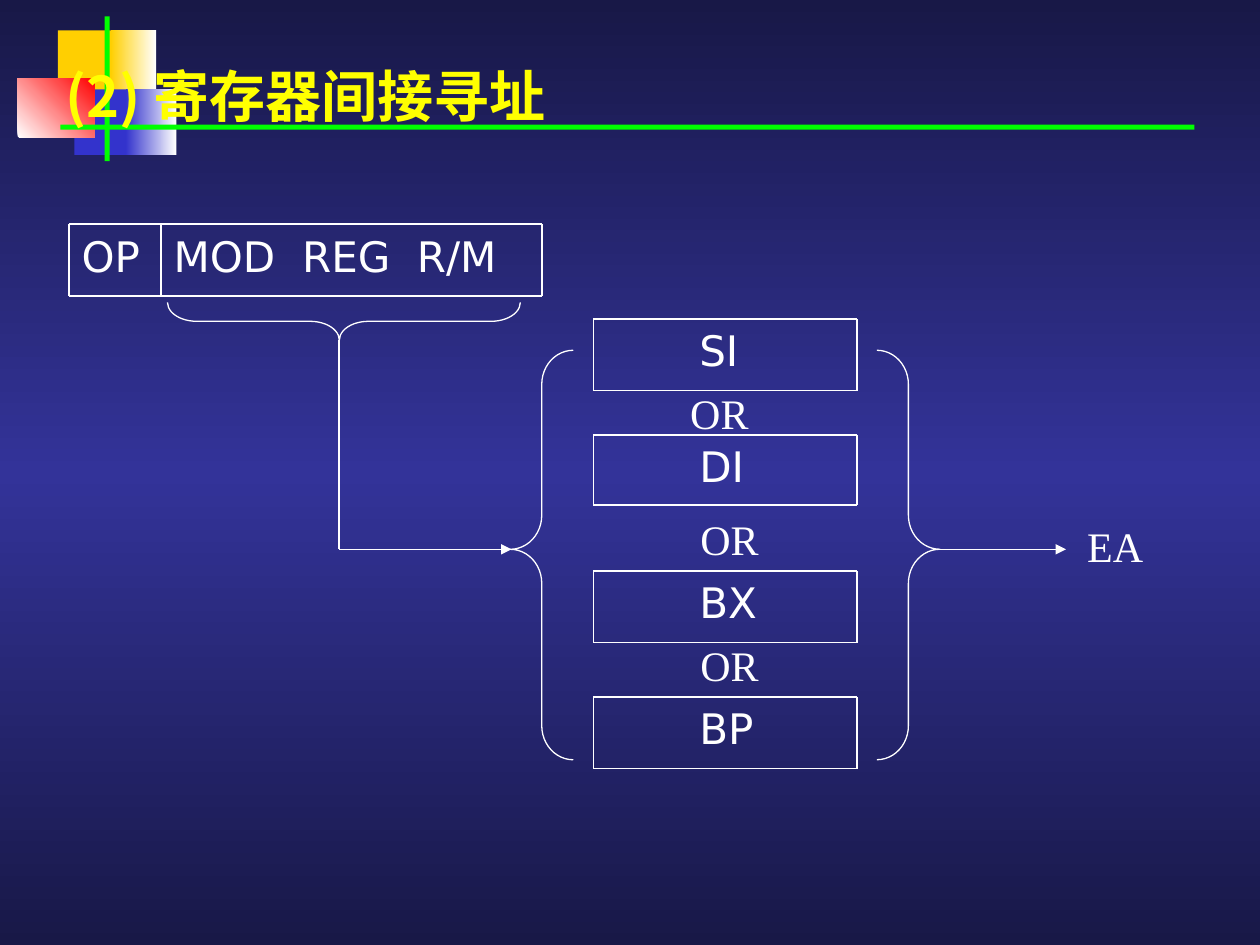
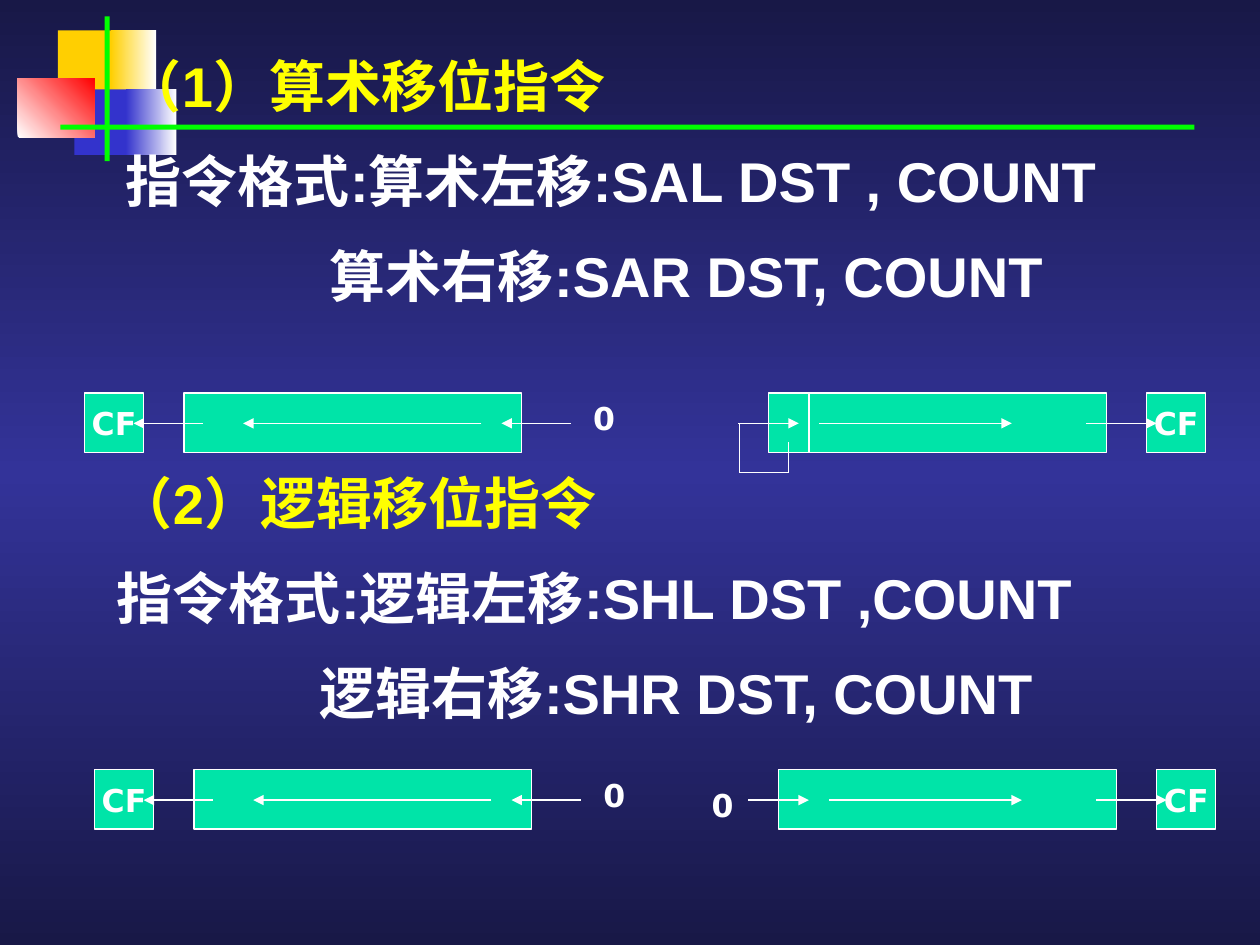
from copy import deepcopy

from lxml.etree import SubElement
from pptx import Presentation
from pptx.dml.color import RGBColor
from pptx.enum.shapes import MSO_CONNECTOR, MSO_SHAPE as SHAPE
from pptx.enum.text import MSO_ANCHOR as ANCHOR, PP_ALIGN as ALIGN
from pptx.oxml.ns import qn
from pptx.util import Inches, Pt

rgb = RGBColor.from_string
WHITE, YELLOW, GREEN, MINT = "FFFFFF", "FFFF00", "00FF00", "00E4A8"
GOLD, BLUE, RED = "FFCF01", "3333CC", "FF0000"
NAVY, INDIGO = "181847", "333399"

TITLE = {"name": "Noto Sans CJK JP", "size": Pt(32), "bold": True}
BODY = {"name": "Arial", "size": Pt(32), "bold": True}
REGISTER = {"name": "DejaVu Sans", "size": Pt(24)}
SERIF = {"name": "Times New Roman", "size": Pt(24)}
BIT = {"name": "DejaVu Sans", "size": Pt(18), "bold": True}


def add_box(s, at, text="", font=None, color=WHITE, kind=None, fill=None,
            line=None, **frame):
    """Add a preset shape, or a text box if kind is None; frame sets the text frame."""
    at = [Inches(v) for v in at]
    if kind is None:
        sp = s.shapes.add_textbox(*at)
    else:
        sp = s.shapes.add_shape(kind, *at)
        sp.shadow.inherit = False
        if fill:
            sp.fill.solid()
            sp.fill.fore_color.rgb = rgb(fill)
        else:
            sp.fill.background()
        if line:
            sp.line.color.rgb = rgb(WHITE)
            sp.line.width = Pt(line)
        else:
            sp.line.fill.background()
    tf = sp.text_frame
    for name, value in {"word_wrap": True, "vertical_anchor": ANCHOR.TOP, **frame}.items():
        setattr(tf, name, value)
    if text:
        p = tf.paragraphs[0]
        p.alignment = ALIGN.LEFT
        for i, part in enumerate(text.split("\n")):
            if i:
                p = tf.add_paragraph()
                p.space_before = Pt(16)
            r = p.add_run()
            r.text = part
            for name, value in font.items():
                setattr(r.font, name, value)
            r.font.color.rgb = rgb(color)
            SubElement(r._r.get_or_add_rPr(), qn("a:ea"), typeface=font["name"])
    return sp


def add_line(s, x1, y1, x2, y2, arrow=True, width=0.75):
    c = s.shapes.add_connector(MSO_CONNECTOR.STRAIGHT, *[Inches(v) for v in (x1, y1, x2, y2)])
    c.line.color.rgb = rgb(WHITE)
    c.line.width = Pt(width)
    if arrow:
        SubElement(c.line._get_or_add_ln(), qn("a:tailEnd"), type="triangle")
    SubElement(c._element.spPr, qn("a:effectLst"))


prs = Presentation()
prs.slide_width, prs.slide_height = Inches(10), Inches(7.5)

# Shared background
master = prs.slide_master
bg = master.background.fill
bg.gradient()
bg.gradient_angle = 270
stop_list = next(master.element.iter(qn("a:gsLst")))
stop_list.append(deepcopy(stop_list[-1]))
for stop, position, color in zip(bg.gradient_stops, (0, 0.5, 1), (NAVY, INDIGO, NAVY)):
    stop.position = position
    stop.color.rgb = rgb(color)

# Shared corner ornament: place, colours, gradient angle
ornament = [
    ((0.46, 0.24, 0.48, 0.52), (GOLD,), 0),
    ((0.88, 0.24, 0.36, 0.52), (GOLD, WHITE), 0),
    ((0.59, 0.71, 0.46, 0.52), (BLUE,), 0),
    ((1, 0.71, 0.4, 0.52), (BLUE, WHITE), 0),
    ((0.14, 0.62, 0.61, 0.47), (WHITE, RED), 45),
    ((0.83, 0.13, 0.04, 1.15), (GREEN,), 0),
    ((0.48, 0.99, 9, 0.04), (GREEN,), 0),
]
slides = [prs.slides.add_slide(prs.slide_layouts[6]) for _ in range(2)]
for s in slides:
    for at, colors, angle in ornament:
        sp = add_box(s, at, kind=SHAPE.RECTANGLE, fill=colors[0])
        if len(colors) > 1:
            sp.fill.gradient()
            sp.fill.gradient_angle = angle
            for stop, color in zip(sp.fill.gradient_stops, colors):
                stop.color.rgb = rgb(color)
addressing, shifts = slides

# Slide 1: register indirect addressing
s = addressing
add_box(s, (0.42, 0.44, 8.75, 0.63), "(2) 寄存器间接寻址", TITLE, YELLOW)

# Ruled frames: column edges, top and bottom
frames = [((0.55, 1.28, 4.3), 1.78, 2.35)]
for name, top, bottom in (("SI", 2.53, 3.1), ("DI", 3.45, 4.01),
                          ("BX", 4.53, 5.1), ("BP", 5.53, 6.1)):
    add_box(s, (4.71, top, 2.08, 0.57), name, REGISTER, margin_left=Inches(0.84))
    frames.append(((4.71, 6.8), top, bottom))
for edges, top, bottom in frames:
    for y in (top, bottom):
        add_line(s, edges[0], y, edges[-1], y, arrow=False, width=1)
    for x in edges:
        add_line(s, x, top, x, bottom, arrow=False, width=1)
for left, top in ((5.38, 3.03), (5.46, 4.03), (5.46, 5.03)):
    add_box(s, (left, top, 0.66, 0.5), "OR", SERIF, word_wrap=False)

add_box(s, (0.55, 1.78, 0.73, 0.57), "OP", REGISTER)
fields = add_box(s, (1.28, 1.78, 3.02, 0.57), "MOD\tREG\tR/M", REGISTER)
tabs = SubElement(fields.text_frame.paragraphs[0]._p.get_or_add_pPr(), qn("a:tabLst"))
for position in (1.02, 1.93):
    SubElement(tabs, qn("a:tab"), pos=str(Inches(position)), algn="l")

braces = [
    (SHAPE.LEFT_BRACE, (4.05, 2.78, 0.5, 3.25), (0.541, 0.486), 0),
    (SHAPE.RIGHT_BRACE, (6.96, 2.78, 0.5, 3.25), (0.541, 0.486), 0),
    (SHAPE.LEFT_BRACE, (2.58, 1.15, 0.3, 2.8), (0.771, 0.487), 270),
]
for kind, at, adjustments, rotation in braces:
    sp = add_box(s, at, kind=kind, line=0.75)
    sp.rotation = rotation
    for i, value in enumerate(adjustments):
        sp.adjustments[i] = value

add_line(s, 2.69, 2.7, 2.69, 4.36, arrow=False)
add_line(s, 2.69, 4.36, 4.06, 4.36)
add_line(s, 7.46, 4.36, 8.46, 4.36)
add_box(s, (8.53, 4.08, 0.65, 0.5), "EA", SERIF, word_wrap=False)

# Slide 2: arithmetic and logical shifts
s = shifts
blocks = [
    ((0.9, 0.36, 8.58, 2.23), 1.62,
     "（1）算术移位指令\n指令格式:算术左移:SAL DST , COUNT\n算术右移:SAR DST, COUNT"),
    ((0.83, 3.67, 8.33, 2.23), 1.61,
     "（2）逻辑移位指令\n指令格式:逻辑左移:SHL DST ,COUNT\n逻辑右移:SHR DST, COUNT"),
]
for at, indent, text in blocks:
    heading, _, last = add_box(s, at, text, BODY).text_frame.paragraphs
    heading.runs[0].font.color.rgb = rgb(YELLOW)
    last._p.get_or_add_pPr().set("marL", str(Inches(indent)))

for dx, top in ((0, 3.12), (0.08, 6.11)):
    for register_left, flag_left in ((1.46, 0.67), (6.1, 9.1)):
        add_box(s, (register_left + dx, top, 2.68, 0.47), kind=SHAPE.RECTANGLE,
                fill=MINT, line=0.75)
        flag = add_box(s, (flag_left + dx, top, 0.47, 0.47), "CF", BIT, kind=SHAPE.RECTANGLE,
                       fill=MINT, line=0.75, word_wrap=False, vertical_anchor=ANCHOR.MIDDLE)
        flag.text_frame.paragraphs[0].alignment = ALIGN.CENTER
    for start, end in ((1.61, 1.06), (3.82, 1.93), (4.53, 3.98),
                       (5.86, 6.34), (6.5, 8.03), (8.62, 9.18)):
        add_line(s, start + dx, top + 0.24, end + dx, top + 0.24)
    add_box(s, (4.61 + dx, top, 0.31, 0.4), "0", BIT)

# The arithmetic right shift feeds its sign bit back; the logical one takes in 0
for ends in ((5.87, 3.36, 5.87, 3.75), (5.87, 3.75, 6.26, 3.75),
             (6.26, 3.75, 6.26, 3.51), (6.42, 3.12, 6.42, 3.59)):
    add_line(s, *ends, arrow=False)
add_box(s, (5.55, 6.19, 0.31, 0.4), "0", BIT)

prs.save("out.pptx")
